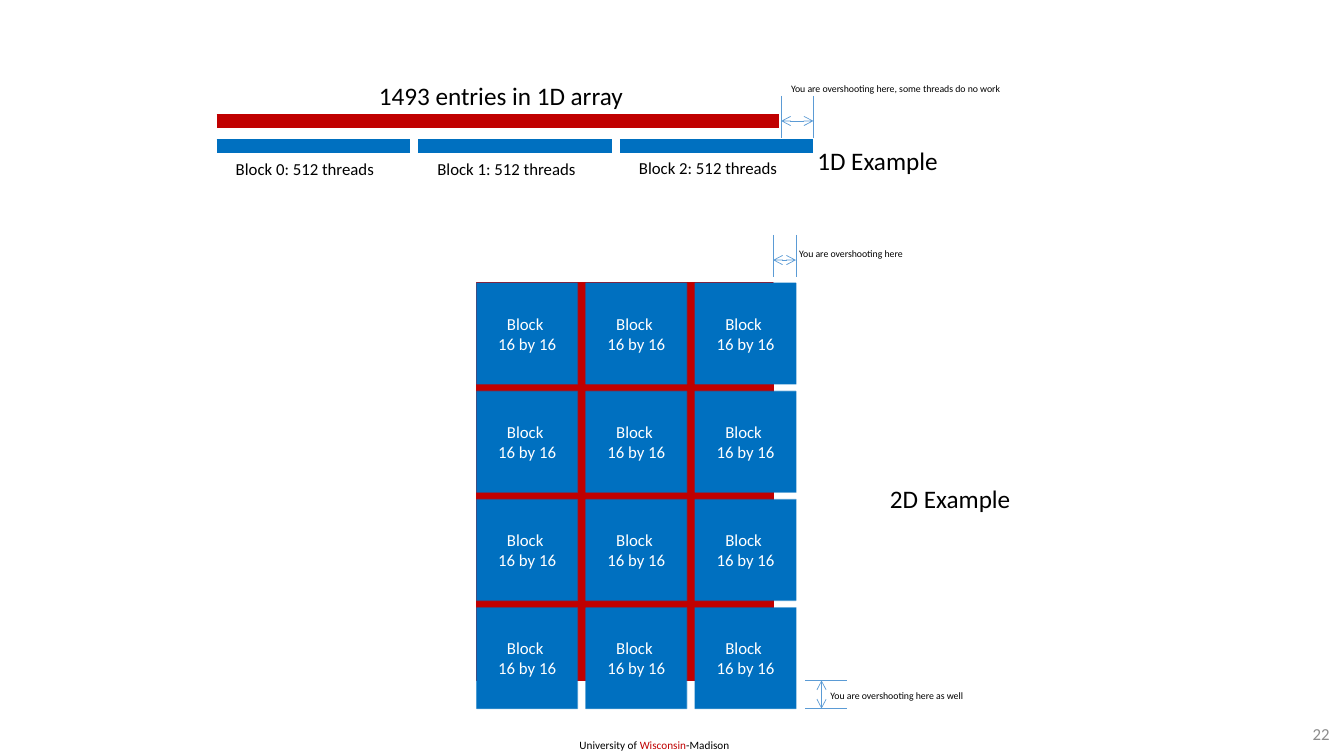
from dataclasses import dataclass
from itertools import product

from lxml import etree
from pptx import Presentation
from pptx import util as u
from pptx.dml.color import RGBColor
from pptx.enum import shapes, text
from pptx.oxml import ns
from pptx.shapes.shapetree import GroupShapes, SlideShapes
from pptx.text.text import _Run as Span

# Grid: 160 columns by 90 rows of square cells
COLUMNS, ROWS = 160, 90
CELL = u.Inches(7.5) / ROWS

COLOURS = {
    "array": "C00000",
    "block": "0070C0",
    "gauge": "5B9BD5",
    "text": "000000",
    "block text": "FFFFFF",
    "page number": "8C8C8C",
}
FONT = "Calibri"

# 1D example, in cells
STRIP_LEFT, STRIP_WIDTH, STRIP_PITCH = 25.8, 23.04, 24
ARRAY_ROW, STRIP_ROW, ARRAY_END = 14.4, 17.4, 92.8
STRIP_END = STRIP_LEFT + 2 * STRIP_PITCH + STRIP_WIDTH

# 2D example, in cells
TILE_LEFT, TILE_TOP, TILE_SIDE = 56.76, 33.72, 12
PITCH_X, PITCH_Y = 13, 12.88
ARRAY_WIDTH, ARRAY_HEIGHT = 35.28, 47.28
ARRAY_RIGHT, ARRAY_BOTTOM = TILE_LEFT + ARRAY_WIDTH, TILE_TOP + ARRAY_HEIGHT
TILES_RIGHT = TILE_LEFT + 2 * PITCH_X + TILE_SIDE
TILES_BOTTOM = TILE_TOP + 3 * PITCH_Y + TILE_SIDE
TICK_LENGTH = 5


@dataclass
class Label:
    words: str
    left: float
    top: float
    width: float
    height: float
    size: int
    colour: str = "text"
    wrap: bool = False
    grow: bool = True
    align: text.PP_ALIGN = text.PP_ALIGN.LEFT
    anchor: text.MSO_ANCHOR = text.MSO_ANCHOR.TOP


@dataclass
class Gauge:
    """Two parallel ticks with a double arrow between them."""
    start: float
    end: float
    tick_start: float
    arrow_at: float
    upright: bool = False


def cells(count: float) -> int:
    return round(count * CELL)


def colour(name: str) -> RGBColor:
    return RGBColor.from_string(COLOURS[name])


def style_span(span: Span, size: int, name: str) -> None:
    span.font.name = FONT
    span.font.size = u.Pt(size)
    span.font.color.rgb = colour(name)


def draw_label(canvas: SlideShapes, label: Label):
    box = canvas.add_textbox(*map(cells, (label.left, label.top, label.width, label.height)))
    frame = box.text_frame
    frame.text = label.words
    frame.word_wrap = label.wrap
    frame.vertical_anchor = label.anchor
    if label.grow:
        frame.auto_size = text.MSO_AUTO_SIZE.SHAPE_TO_FIT_TEXT
    para = frame.paragraphs[0]
    para.alignment = label.align
    style_span(para.runs[0], label.size, label.colour)
    return para


def draw_line(canvas: SlideShapes | GroupShapes, start: tuple[float, float],
              end: tuple[float, float], name: str, width: float, arrows: bool = False) -> None:
    line = canvas.add_connector(shapes.MSO_CONNECTOR.STRAIGHT, *map(cells, start + end))
    line.line.color.rgb = colour(name)
    line.line.width = u.Pt(width)
    if arrows:
        outline = line.line._get_or_add_ln()
        for tip in ("a:headEnd", "a:tailEnd"):
            etree.SubElement(outline, ns.qn(tip), type="arrow")
    etree.SubElement(line._element.spPr, ns.qn("a:effectLst"))


def draw_rectangle(canvas: SlideShapes | GroupShapes, left: float, top: float,
                   width: float, height: float, name: str):
    rectangle = canvas.add_shape(shapes.MSO_SHAPE.RECTANGLE,
                                 *map(cells, (left, top, width, height)))
    rectangle.shadow.inherit = False
    rectangle.fill.solid()
    rectangle.fill.fore_color.rgb = colour(name)
    rectangle.line.color.rgb = colour(name)
    rectangle.line.width = u.Pt(1)
    return rectangle


def draw_tile(canvas: GroupShapes, row: int, column: int) -> None:
    tile = draw_rectangle(canvas, TILE_LEFT + column * PITCH_X, TILE_TOP + row * PITCH_Y,
                          TILE_SIDE, TILE_SIDE, "block")
    outline_colour = tile.line._get_or_add_ln().find(".//" + ns.qn("a:srgbClr"))
    etree.SubElement(outline_colour, ns.qn("a:alpha"), val="53000")
    tile.text_frame.vertical_anchor = text.MSO_ANCHOR.MIDDLE
    para = tile.text_frame.paragraphs[0]
    para.text = "Block \n16 by 16"
    para.alignment = text.PP_ALIGN.CENTER
    for span in para.runs:
        style_span(span, 12, "block text")


def draw_gauge(canvas: SlideShapes, gauge: Gauge) -> None:
    group = canvas.add_group_shape().shapes

    def point(along: float, across: float) -> tuple[float, float]:
        return (across, along) if gauge.upright else (along, across)

    for along in (gauge.start, gauge.end):
        draw_line(group, point(along, gauge.tick_start),
                  point(along, gauge.tick_start + TICK_LENGTH), "gauge", 0.5)
    draw_line(group, point(gauge.start, gauge.arrow_at),
              point(gauge.end, gauge.arrow_at), "gauge", 0.5, arrows=True)


LABELS = [
    Label("1493 entries in 1D array", 43.92, 9, 31.8, 4.8, 18),
    *(Label(f"Block {index}: 512 threads", 26.88 + index * STRIP_PITCH, top, 19.08, 3.6, 12)
      for index, top in enumerate((18.36, 18.36, 18.24))),
    Label("1D Example", 96.12, 16.68, 16.92, 4.8, 18),
    Label("2D Example", 104.76, 57, 16.92, 4.8, 18),
    Label("You are overshooting here", 93.96, 28.92, 15.12, 2.64, 7),
    Label("You are overshooting here as well", 97.68, 81.48, 18.72, 2.64, 7),
    Label("You are overshooting here, some threads do no work", 93, 9.24, 28.08, 2.64, 7),
    Label("22", 150.36, 85.56, 9.12, 3.48, 12, "page number", wrap=True, grow=False,
          align=text.PP_ALIGN.RIGHT, anchor=text.MSO_ANCHOR.MIDDLE),
]
FOOTER = Label("University of ", 67.8, 87.36, 20.64, 2.88, 8, wrap=True)
GAUGES = [
    Gauge(93, STRIP_END, 11.4, ARRAY_ROW),
    Gauge(ARRAY_RIGHT, TILES_RIGHT, 27.96, 30.96),
    Gauge(ARRAY_BOTTOM, TILES_BOTTOM, 95.88, 97.8, upright=True),
]


def main() -> None:
    deck = Presentation()
    deck.slide_width, deck.slide_height = cells(COLUMNS), cells(ROWS)
    page = deck.slides.add_slide(deck.slide_layouts[6])
    canvas = page.shapes

    # Footer
    para = draw_label(canvas, FOOTER)
    for words, name in (("Wisconsin", "array"), ("-Madison", "text")):
        span = para.add_run()
        span.text = words
        style_span(span, FOOTER.size, name)

    # 1D array and the blocks that cover it
    for index in range(3):
        left = STRIP_LEFT + index * STRIP_PITCH
        draw_line(canvas, (left, STRIP_ROW), (left + STRIP_WIDTH, STRIP_ROW), "block", 10)
    draw_line(canvas, (STRIP_LEFT, ARRAY_ROW), (ARRAY_END, ARRAY_ROW), "array", 10)

    # 2D array and the blocks that cover it
    draw_rectangle(canvas, TILE_LEFT, TILE_TOP, ARRAY_WIDTH, ARRAY_HEIGHT, "array")
    tiles = canvas.add_group_shape().shapes
    for row, column in product(range(4), range(3)):
        draw_tile(tiles, row, column)

    # Overshoot gauges and labels
    for gauge in GAUGES:
        draw_gauge(canvas, gauge)
    for label in LABELS:
        draw_label(canvas, label)

    deck.save("out.pptx")


if __name__ == "__main__":
    main()
